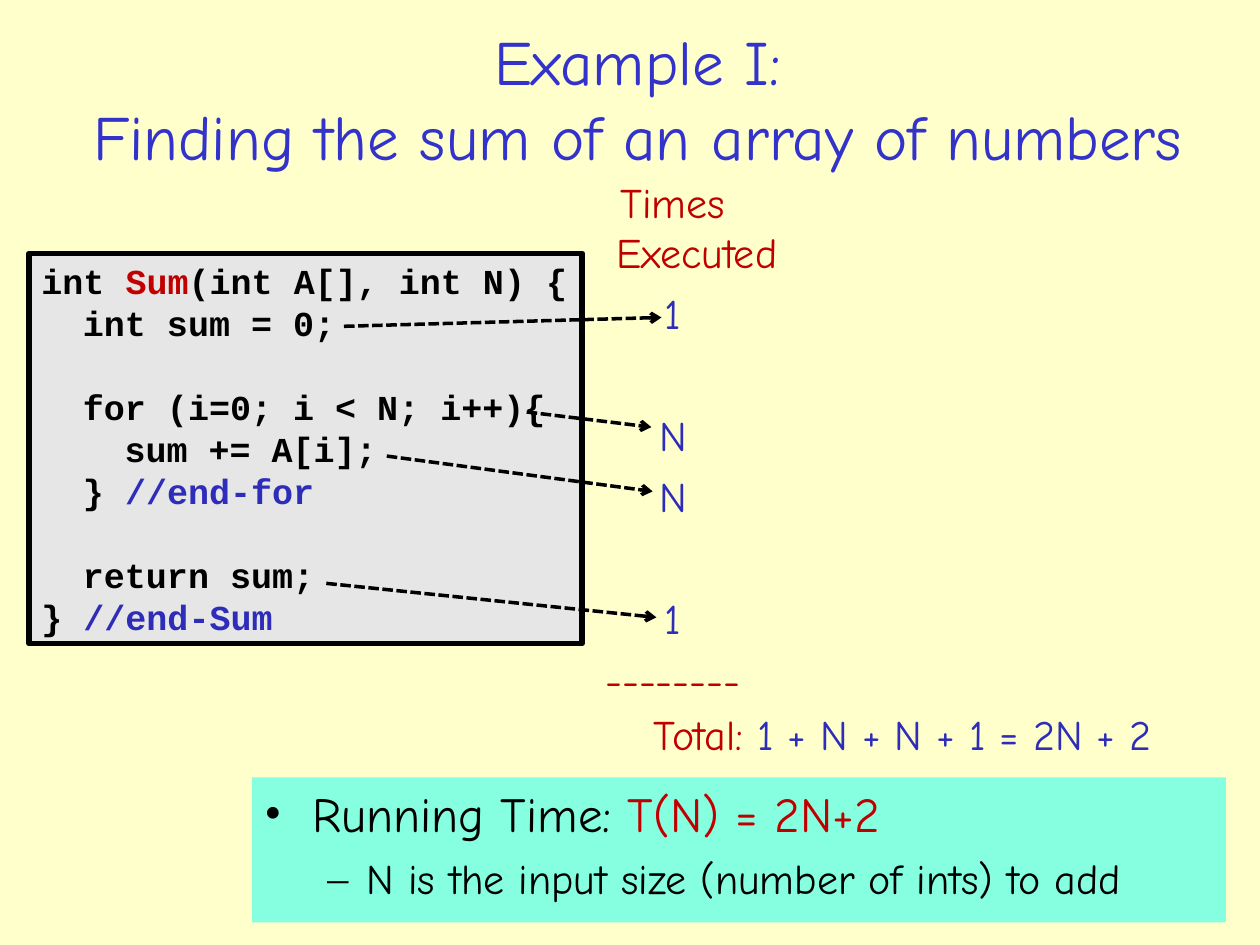
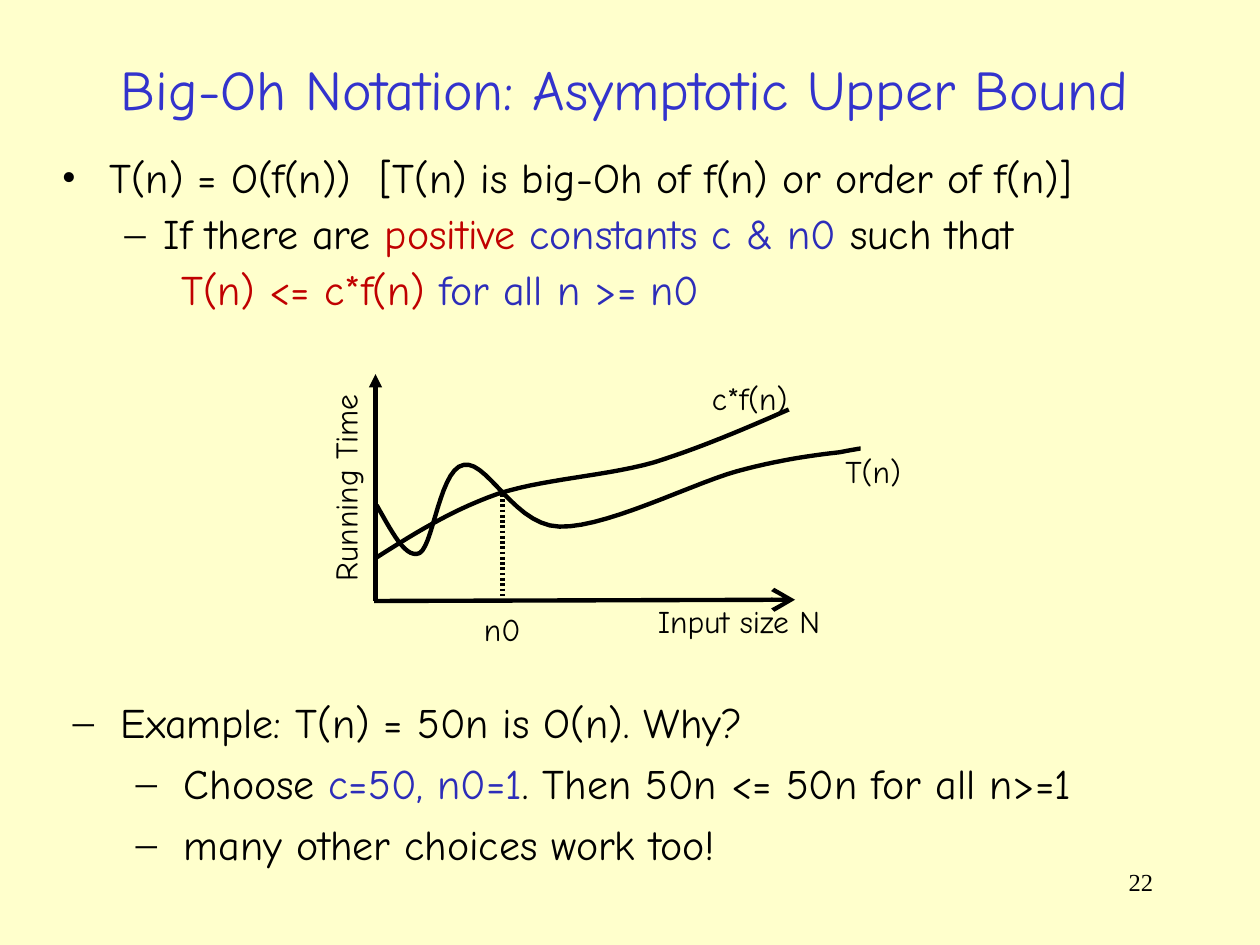
"""Build two slides on running time and Big-Oh notation."""
from lxml import etree
from pptx import Presentation
from pptx.dml.color import RGBColor
from pptx.enum.shapes import MSO_CONNECTOR, MSO_SHAPE
from pptx.enum.text import MSO_ANCHOR, PP_ALIGN
from pptx.oxml.ns import qn
from pptx.util import Emu, Inches, Pt

STRAIGHT, RECT = MSO_CONNECTOR.STRAIGHT, MSO_SHAPE.RECTANGLE
TOP, MIDDLE = MSO_ANCHOR.TOP, MSO_ANCHOR.MIDDLE
LEFT, CENTER, RIGHT = PP_ALIGN.LEFT, PP_ALIGN.CENTER, PP_ALIGN.RIGHT

CREAM = RGBColor(0xFF, 0xFF, 0xCC)
TITLE = RGBColor(0x33, 0x33, 0xCC)
BLUE = RGBColor(0x2D, 0x2D, 0xB9)
RED = RGBColor(0xC0, 0x00, 0x00)
BLACK = RGBColor(0x00, 0x00, 0x00)
GRAY = RGBColor(0xE6, 0xE6, 0xE6)
AQUA = RGBColor(0x85, 0xFF, 0xE0)

COMIC, MONO, SERIF = "Comic Neue", "Courier New", "Times New Roman"
COLS, ROWS = 10, 7.5
CELL = Inches(1)
TAB = 0.33
GAP = 6
SKIP = 40.8
LEAD = 24

HANG = dict(left=0.38, first=-0.38, before=GAP)
MID = dict(HANG, align=CENTER)
DOT = dict(HANG, mark="•")
DASH = dict(HANG, mark="–")
SUB = dict(left=0.81, first=-0.31, before=GAP, mark="–")
DEEP = dict(DASH, left=0.88)

CODE = [
    (0, 0, [("int ", BLACK), ("Sum", RED), ("(int A[], int N) {", BLACK)]),
    (1, 0, [("int sum = 0;", BLACK)]),
    (1, 1, [("for (i=0; i < N; i++){", BLACK)]),
    (2, 0, [("sum += A[i];", BLACK)]),
    (1, 0, [("} ", BLACK), ("//end-for", BLUE)]),
    (1, 1, [("return sum;", BLACK)]),
    (0, 0, [("} ", BLACK), ("//end-Sum", BLUE)]),
]
COUNTS = [
    ("Times Executed", RED, GAP), ("1", BLUE, GAP), ("N", BLUE, SKIP),
    ("N", BLUE, GAP), ("1", BLUE, SKIP), ("--------", RED, GAP),
]
TOTAL = [(MID, [("Total: ", RED), ("1 + N + N + 1 = 2N + 2", BLUE)])]
RESULT = [
    (dict(DOT, before=7, size=28),
     [("Running Time: ", BLACK), ("T(N) = 2N+2", RED)]),
    (SUB, [("N is the input size (number of ints) to add", BLACK)]),
]
ARROWS = [
    ((2.73, 2.59), (5.25, 2.52)), ((4.18, 3.27), (5.17, 3.39)),
    ((3.07, 3.62), (5.18, 3.9)), ((2.59, 4.63), (5.21, 4.9)),
]

BOUND = [
    (dict(DOT, lead=0.9),
     [("T(n) = O(f(n))  [T(n) is big-Oh of f(n) or order of f(n)]", BLACK)]),
    (dict(SUB, lead=0.9),
     [("If there are ", BLACK), ("positive ", RED),
      ("constants c & n0", BLUE), (" such that", BLACK)]),
    (dict(left=0.95, before=GAP, lead=0.9),
     [("T(n) <= c*f(n) ", RED), ("for all n >= n0", BLUE)]),
]
CASE = [
    (DASH, [("Example: T(n) = 50n is O(n). Why?", BLACK)]),
    (DEEP, [("Choose ", BLACK), ("c=50, n0=1", BLUE),
            (". Then 50n <= 50n for all n>=1", BLACK)]),
    (DEEP, [("many other choices work too!", BLACK)]),
]
LABELS = [
    ("Input size N", (5.12, 4.73, 1.49, 0.4), 0),
    ("c*f(n)", (5.55, 2.96, 0.8, 0.4), 0),
    ("T(n)", (6.61, 3.54, 0.64, 0.4), 0),
    ("n0", (3.74, 4.79, 0.49, 0.4), 0),
    ("Running Time", (1.74, 3.67, 2, 0.4), 270),
]
CURVES = [
    [(2.98, 4.43), (3.28, 4.24), (3.58, 4.05), (3.95, 3.92),
     (4.32, 3.8), (4.8, 3.78), (5.19, 3.67),
     (5.57, 3.55), (5.92, 3.4), (6.26, 3.25)],
    [(2.99, 4.01), (3.11, 4.22), (3.22, 4.44), (3.33, 4.39),
     (3.44, 4.33), (3.49, 3.72), (3.68, 3.69),
     (3.87, 3.65), (4.08, 4.17), (4.44, 4.18),
     (4.81, 4.19), (5.49, 3.84), (5.85, 3.74),
     (6.22, 3.64), (6.49, 3.61), (6.66, 3.59),
     (6.82, 3.56), (6.83, 3.56), (6.83, 3.56)],
]


def grid(*nums):
    return [Emu(round(n * CELL)) for n in nums]


def add(root, tag, **attrs):
    return etree.SubElement(root, qn("a:" + tag), attrs)


def write(par, style, runs, font, size):
    par.alignment = style.get("align", LEFT)
    par.space_before = Pt(style.get("before", 0))
    if "lead" in style:
        par.line_spacing = style["lead"]
    props = par._p.get_or_add_pPr()
    left, first = grid(style.get("left", 0), style.get("first", 0))
    props.set("marL", str(left))
    props.set("indent", str(first))
    if "mark" in style:
        add(add(props, "buClr"), "srgbClr", val=str(BLACK))
        add(props, "buFont", typeface=SERIF)
        add(props, "buChar", char=style["mark"])
    else:
        add(props, "buNone")
    for text, color in runs:
        run = par.add_run()
        run.text = text
        run.font.name = font
        run.font.size = Pt(style.get("size", size))
        run.font.bold = font == MONO
        run.font.color.rgb = color


def put(slide, at, paras, size=24, font=COMIC, anchor=TOP, wrap=True,
        fill=None, edge=0):
    if fill is None:
        box = slide.shapes.add_textbox(*grid(*at))
    else:
        box = slide.shapes.add_shape(RECT, *grid(*at))
        box.shadow.inherit = False
        box.fill.solid()
        box.fill.fore_color.rgb = fill
        if edge:
            ink(box, edge)
        else:
            box.line.fill.background()
    frame = box.text_frame
    frame.word_wrap = wrap
    frame.vertical_anchor = anchor
    for i, (style, runs) in enumerate(paras):
        par = frame.add_paragraph() if i else frame.paragraphs[0]
        write(par, style, runs, font, size)
    return box


def head(slide, at, lines, size):
    paras = [({"align": CENTER}, [(line, TITLE)]) for line in lines]
    put(slide, at, paras, size, anchor=MIDDLE)


def ink(shape, width):
    shape.line.color.rgb = BLACK
    shape.line.width = Pt(width)


def link(slide, start, end, width, dash=None, tip=None, span="med"):
    line = slide.shapes.add_connector(STRAIGHT, *grid(*start, *end))
    ink(line, width)
    pen = line.line._get_or_add_ln()
    if dash == "dots":
        add(add(pen, "custDash"), "ds", d="50000", sp="50000")
    elif dash:
        add(pen, "prstDash", val=dash)
    if tip:
        add(pen, "tailEnd", type=tip, w=span, len=span)
    add(line._element.spPr, "effectLst")


def bend(knots, steps=14):
    for i in range(0, len(knots) - 1, 3):
        a, b, c, d = knots[i:i + 4]
        for k in range(1, steps + 1):
            t = k / steps
            u = 1 - t
            yield grid(*(u**3 * p + 3 * u * u * t * q + 3 * u * t * t * r
                         + t**3 * s for p, q, r, s in zip(a, b, c, d)))


def curve(slide, knots):
    pen = slide.shapes.build_freeform(*grid(*knots[0]))
    pen.add_line_segments(list(bend(knots)), close=False)
    shape = pen.convert_to_shape()
    shape.shadow.inherit = False
    shape.fill.background()
    ink(shape, 2.5)


def page(deck):
    slide = deck.slides.add_slide(deck.slide_layouts[6])
    slide.background.fill.solid()
    slide.background.fill.fore_color.rgb = CREAM
    return slide


def example(deck):
    slide = page(deck)
    head(slide, (0.29, 0.15, 9.54, 1.25),
         ["Example I:", "Finding the sum of an array of numbers"], 36)
    put(slide, (4.29, 1.35, 2.1, 4.25),
        [(dict(MID, before=gap), [(text, color)])
         for text, color, gap in COUNTS])
    put(slide, (4.75, 5.57, 4.83, 0.58), TOTAL)
    put(slide, (2, 6.17, 7.73, 1.15), RESULT, fill=AQUA)
    put(slide, (0.23, 2.01, 4.39, 3.1),
        [(dict(left=depth * TAB, before=skip * LEAD, lead=Pt(LEAD)), runs)
         for depth, skip, runs in CODE],
        20, MONO, fill=GRAY, edge=3)
    for start, end in ARROWS:
        link(slide, start, end, 2, "sysDash", "arrow")


def notation(deck):
    slide = page(deck)
    put(slide, (7.17, 6.83, 2.08, 0.5),
        [({"align": RIGHT}, [("22", BLACK)])], 14, SERIF)
    head(slide, (0.27, 0.28, 9.38, 0.84),
         ["Big-Oh Notation: Asymptotic Upper Bound"], 32)
    put(slide, (0.39, 1.2, 8.99, 1.4), BOUND)
    put(slide, (0.48, 5.48, 9.12, 1.61), CASE)
    link(slide, (2.98, 4.77), (2.98, 2.97), 2.5, tip="triangle")
    link(slide, (2.97, 4.77), (6.31, 4.76), 2.5, tip="arrow", span="lg")
    link(slide, (3.99, 3.92), (3.99, 4.76), 3, "dots")
    for knots in CURVES:
        curve(slide, knots)
    for text, at, turn in LABELS:
        box = put(slide, at, [({"align": CENTER}, [(text, BLACK)])], 18,
                  wrap=False)
        box.rotation = turn


def main():
    deck = Presentation()
    deck.slide_width, deck.slide_height = grid(COLS, ROWS)
    example(deck)
    notation(deck)
    deck.save("out.pptx")


if __name__ == "__main__":
    main()
